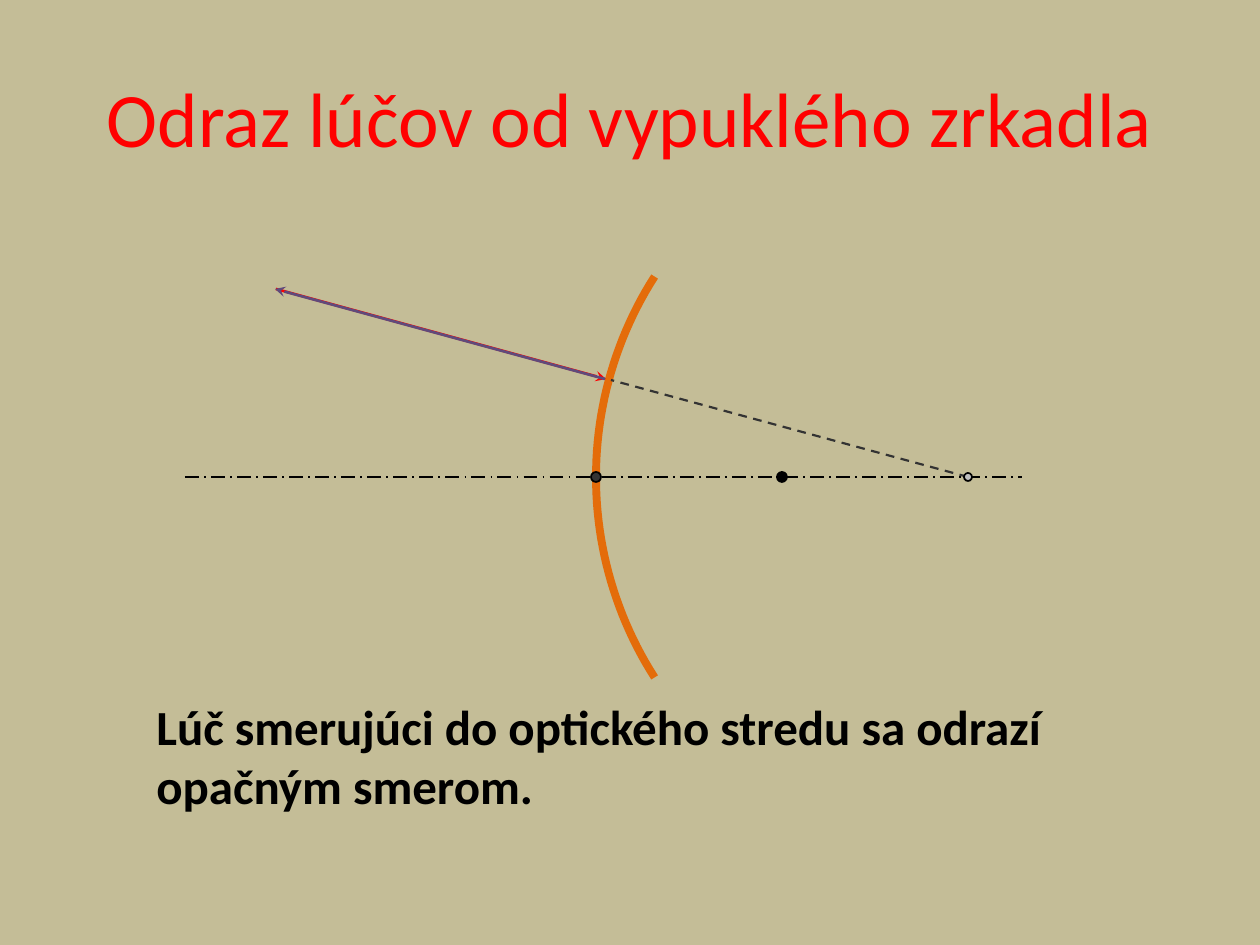
import math
from lxml import etree
from pptx import Presentation, util as u
from pptx.dml.color import RGBColor
from pptx.enum import dml, shapes, text
from pptx.oxml import ns

PX = 914400 / 126
SAND = RGBColor(0xC4, 0xBD, 0x97)
RED = RGBColor(0xFF, 0x00, 0x00)
BLACK = RGBColor(0x00, 0x00, 0x00)
DARK = RGBColor(0x33, 0x33, 0x33)
SILVER = RGBColor(0xC0, 0xC0, 0xC0)
ORANGE = RGBColor(0xE4, 0x6C, 0x0A)
PURPLE = RGBColor(0x60, 0x4A, 0x7B)

VERTEX, FOCAL, AXIS = 596, 186, 477
FOCUS, CENTER = VERTEX + FOCAL, VERTEX + 2 * FOCAL
HALF_ANGLE, STEPS = 32.6, 48


def px(*vals):
    """Turn pixel lengths into EMU."""
    return [u.Emu(round(val * PX)) for val in vals]


def add_text(slide, words, box, size, color, bold=False, align=None,
             anchor=text.MSO_ANCHOR.TOP, fit=text.MSO_AUTO_SIZE.NONE):
    """Add a wrapped text box."""
    frame = slide.shapes.add_textbox(*px(*box)).text_frame
    frame.word_wrap = True
    frame.auto_size = fit
    frame.vertical_anchor = anchor
    para = frame.paragraphs[0]
    para.alignment = align
    run = para.add_run()
    run.text = words
    font = run.font
    font.name, font.size, font.bold = "Calibri", u.Pt(size), bold
    font.color.rgb = color


def add_line(slide, start, end, color, width, dash=None, arrow=False):
    """Add a straight line, with an arrowhead at its end if asked."""
    line = slide.shapes.add_connector(
        shapes.MSO_CONNECTOR.STRAIGHT, *px(*start, *end))
    line.line.color.rgb = color
    line.line.width = u.Pt(width)
    if dash:
        line.line.dash_style = dash
    if arrow:
        tail = etree.SubElement(line.line._get_or_add_ln(), ns.qn("a:tailEnd"))
        tail.set("type", "stealth")
    etree.SubElement(line._element.spPr, ns.qn("a:effectLst"))


def add_dot(slide, x, size, fill):
    """Add a round point centred on the optical axis."""
    dot = slide.shapes.add_shape(
        shapes.MSO_SHAPE.OVAL, *px(x - size / 2, AXIS - size / 2, size, size))
    dot.shadow.inherit = False
    dot.fill.solid()
    dot.fill.fore_color.rgb = fill
    dot.line.color.rgb = BLACK
    dot.line.width = u.Pt(1)


def add_mirror(slide):
    """Add the convex mirror as an arc around its center."""
    turns = [math.radians(HALF_ANGLE * (1 - 2 * i / STEPS))
             for i in range(STEPS + 1)]
    points = [px(CENTER - 2 * FOCAL * math.cos(turn),
                 AXIS - 2 * FOCAL * math.sin(turn)) for turn in turns]
    pen = slide.shapes.build_freeform(*points[0])
    pen.add_line_segments(points[1:], close=False)
    mirror = pen.convert_to_shape()
    mirror.shadow.inherit = False
    mirror.fill.background()
    mirror.line.color.rgb = ORANGE
    mirror.line.width = u.Pt(4.5)


def main():
    """Build the slide and save it."""
    deck = Presentation()
    deck.slide_width, deck.slide_height = px(1260, 945)
    slide = deck.slides.add_slide(deck.slide_layouts[6])
    slide.background.fill.solid()
    slide.background.fill.fore_color.rgb = SAND

    add_text(slide, "Odraz lúčov od vypuklého zrkadla", (63, 38, 1134, 158),
             44, RED, align=text.PP_ALIGN.CENTER, anchor=text.MSO_ANCHOR.MIDDLE)
    add_line(slide, (185, AXIS), (1022, AXIS), BLACK, 1,
             dash=dml.MSO_LINE.LONG_DASH_DOT)
    add_mirror(slide)
    add_dot(slide, VERTEX, 10, DARK)
    add_line(slide, (276, 289), (606, 379), RED, 1.5, arrow=True)
    add_line(slide, (CENTER, AXIS), (611, 380), DARK, 1.25,
             dash=dml.MSO_LINE.DASH)
    add_dot(slide, FOCUS, 10, BLACK)
    add_dot(slide, CENTER, 8, SILVER)
    add_line(slide, (605, 379), (275, 289), PURPLE, 1.5, arrow=True)
    add_text(slide, "Lúč smerujúci do optického stredu sa odrazí opačným smerom.",
             (144, 690, 1032, 131), 28, BLACK, bold=True,
             fit=text.MSO_AUTO_SIZE.SHAPE_TO_FIT_TEXT)
    deck.save("out.pptx")


if __name__ == "__main__":
    main()
